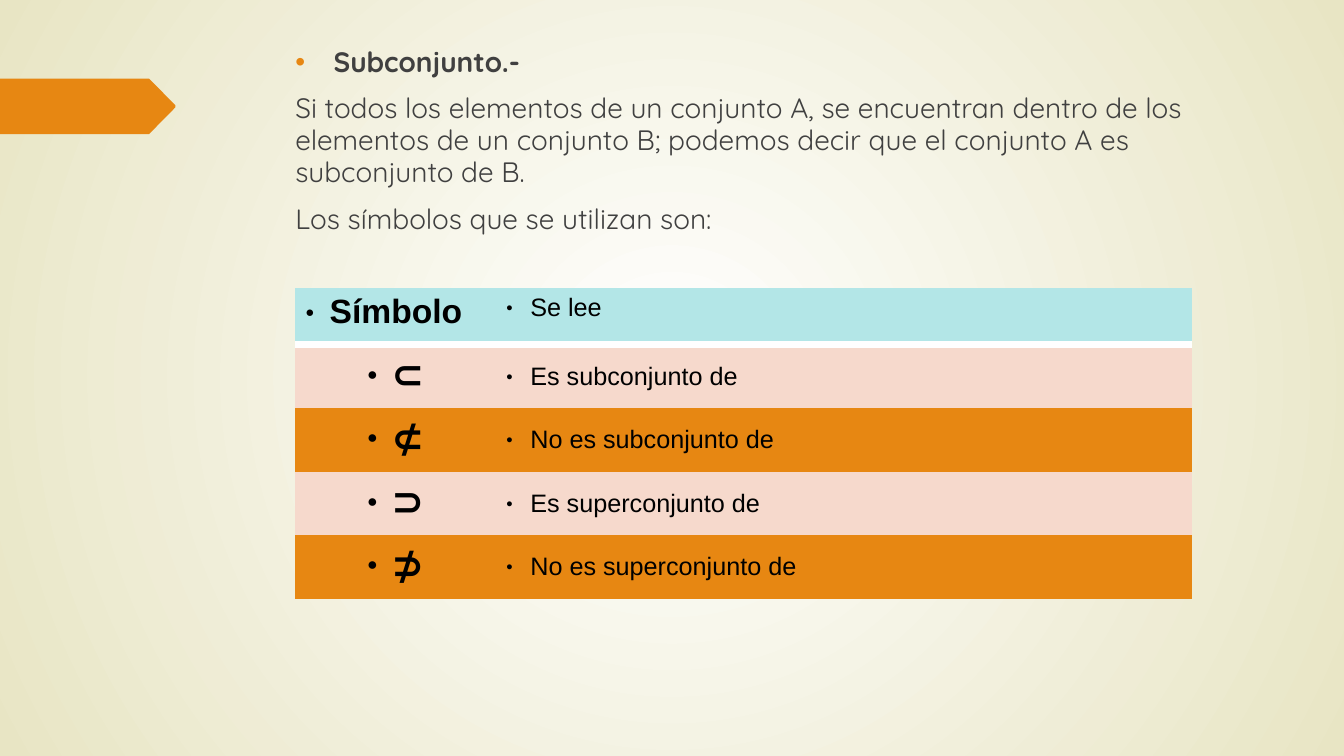
from lxml import etree
from pptx import Presentation
from pptx.dml.color import RGBColor
from pptx.enum.text import MSO_ANCHOR, PP_ALIGN
from pptx.oxml.ns import qn
from pptx.util import Inches, Pt

MIDDLE, TOP = MSO_ANCHOR.MIDDLE, MSO_ANCHOR.TOP
CENTER, LEFT = PP_ALIGN.CENTER, PP_ALIGN.LEFT

WHITE = RGBColor(0xFF, 0xFF, 0xFF)
BLACK = RGBColor(0x00, 0x00, 0x00)
GRAY = RGBColor(0x40, 0x40, 0x40)
CREAM = RGBColor(0xE8, 0xE5, 0xC4)
ORANGE = RGBColor(0xE7, 0x87, 0x12)
PINK = RGBColor(0xF6, 0xD9, 0xCC)
AQUA = RGBColor(0xB3, 0xE6, 0xE7)

HEADING = "Subconjunto.-"
DEFINITION = [
    "Si todos los elementos de un conjunto A, se encuentran dentro de los "
    "elementos de un conjunto B; podemos decir que el conjunto A es "
    "subconjunto de B.",
    "Los símbolos que se utilizan son:",
]
HEADER = ("Símbolo", "Se lee")
SYMBOLS = [
    ("⊂", "Es subconjunto de"),
    ("⊄", "No es subconjunto de"),
    ("⊃", "Es superconjunto de"),
    ("⊅", "No es superconjunto de"),
]


def add_node(parent, tag, **attributes):
    return etree.SubElement(parent, qn(tag), attributes)


def add_color(parent, color):
    add_node(parent, "a:srgbClr", val=str(color))


def set_bullet(para, char, color, indent, percent=100):
    props = para._p.get_or_add_pPr()
    props.set("marL", str(Inches(indent)))
    props.set("indent", str(-Inches(indent)))
    add_color(add_node(props, "a:buClr"), color)
    add_node(props, "a:buSzPct", val=str(percent * 1000))
    add_node(props, "a:buFont", typeface="Arial")
    add_node(props, "a:buChar", char=char)


def style(para, font_name, size, color, bold=False):
    font = para.font
    font.name, font.size, font.bold = font_name, Pt(size), bold
    font.color.rgb = color


def paint_background(page):
    fill = page.background.fill
    fill.gradient()
    for stop, color in zip(fill.gradient_stops, (WHITE, CREAM)):
        stop.color.rgb = color
    gradient = page.background._cSld.find(".//" + qn("a:gradFill"))
    gradient.remove(gradient.find(qn("a:lin")))
    circle = add_node(gradient, "a:path", path="circle")
    add_node(circle, "a:fillToRect", l="50000", t="50000", r="50000", b="50000")


def add_marker(page, left, top, width, height):
    shoulder, middle = left + width * 0.85, top + height / 2
    outline = [
        (shoulder, top),
        (left + width, middle - 0.01),
        (left + width, middle + 0.01),
        (shoulder, top + height),
        (left, top + height),
    ]
    builder = page.shapes.build_freeform(Inches(left), Inches(top))
    builder.add_line_segments([(Inches(x), Inches(y)) for x, y in outline])
    marker = builder.convert_to_shape()
    marker.shadow.inherit = False
    marker.fill.solid()
    marker.fill.fore_color.rgb = ORANGE
    marker.line.fill.background()


def add_definition(page, left, top, width, height):
    box = page.shapes.add_textbox(*map(Inches, (left, top, width, height)))
    frame = box.text_frame
    frame.word_wrap = True
    for index, text in enumerate([HEADING, *DEFINITION]):
        para = frame.paragraphs[0] if index == 0 else frame.add_paragraph()
        para.text = text
        para.space_before = Pt(10)
        para.line_spacing = 0.96
        if index == 0:
            set_bullet(para, "•", ORANGE, 0.38)
        style(para, "Quicksand", 20, GRAY, bold=index == 0)


def fill_cell(cell, text, fill, font_name, size, bold, align, anchor):
    cell.fill.solid()
    cell.fill.fore_color.rgb = fill
    cell.vertical_anchor = anchor
    para = cell.text_frame.paragraphs[0]
    para.text = text
    para.alignment = align
    set_bullet(para, "●", BLACK, 0.24, 45)
    style(para, font_name, size, BLACK, bold)


def underline_cell(cell, color, points):
    border = etree.Element(qn("a:lnB"), w=str(Pt(points)))
    add_color(add_node(border, "a:solidFill"), color)
    cell._tc.get_or_add_tcPr().insert(0, border)


def add_symbol_table(page, left, top, width, header_height, row_height):
    rows = len(SYMBOLS) + 1
    height = header_height + row_height * len(SYMBOLS)
    frame = page.shapes.add_table(
        rows, 2, *map(Inches, (left, top, width, height)))
    table = frame.table
    table.first_row = table.horz_banding = False
    frame._element.find(".//" + qn("a:tableStyleId")).text = (
        "{2D5ABB26-0587-4C30-8999-92F81FD0307C}")
    symbol_width = 1.99
    table.columns[0].width = Inches(symbol_width)
    table.columns[1].width = Inches(width - symbol_width)
    table.rows[0].height = Inches(header_height)
    fill_cell(table.cell(0, 0), HEADER[0], AQUA, "Arial", 24, True, LEFT, TOP)
    fill_cell(table.cell(0, 1), HEADER[1], AQUA, "Arial", 18, False, LEFT, TOP)
    for column in range(2):
        underline_cell(table.cell(0, column), WHITE, 6)
    for row, (symbol, reading) in enumerate(SYMBOLS, 1):
        table.rows[row].height = Inches(row_height)
        fill = PINK if row % 2 else ORANGE
        fill_cell(table.cell(row, 0), symbol, fill,
                  "Quicksand", 28, True, CENTER, TOP)
        fill_cell(table.cell(row, 1), reading, fill,
                  "Arial", 18, False, LEFT, MIDDLE)


def main():
    deck = Presentation()
    deck.slide_width, deck.slide_height = Inches(13.33), Inches(7.5)
    page = deck.slides.add_slide(deck.slide_layouts[6])
    paint_background(page)
    add_marker(page, 0, 0.78, 1.74, 0.55)
    add_definition(page, 2.83, 0.41, 9.75, 6.05)
    add_symbol_table(page, 2.93, 2.86, 8.89, 0.56, 0.63)
    deck.save("out.pptx")


if __name__ == "__main__":
    main()
